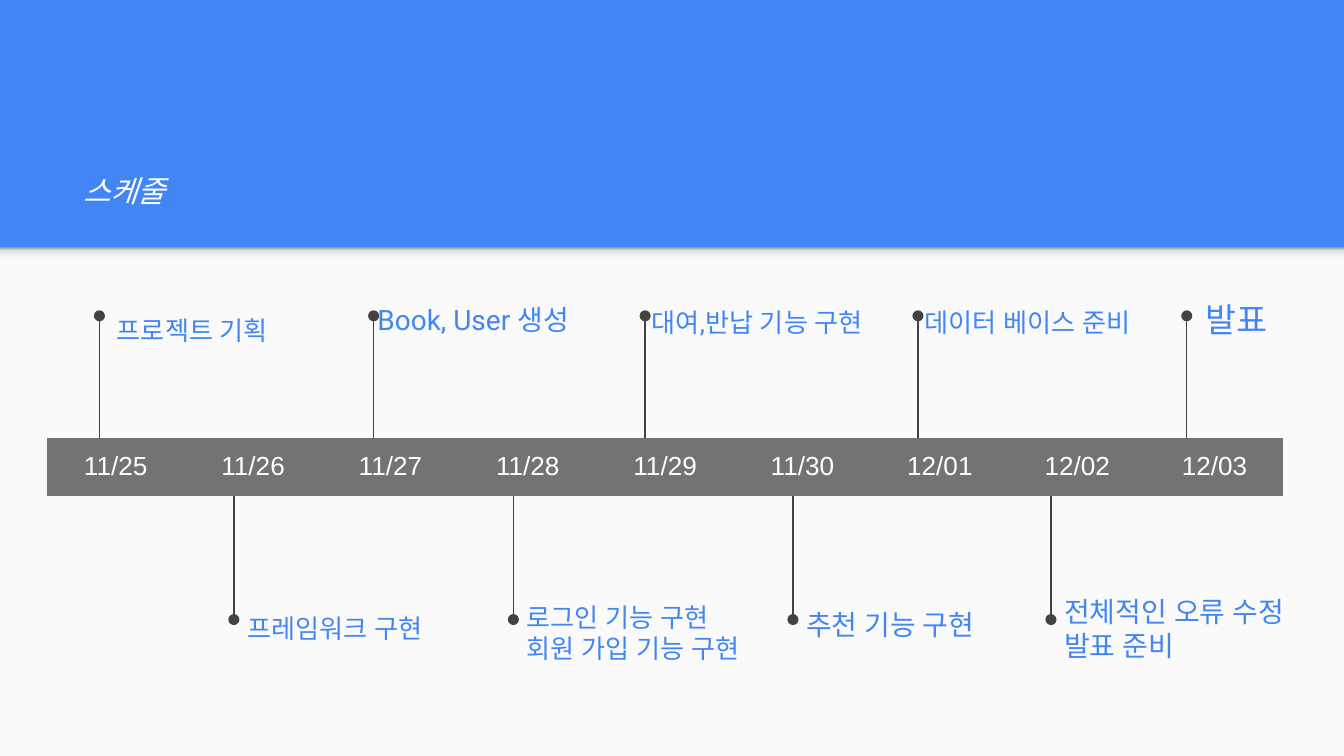
from dataclasses import dataclass

from lxml import etree
from pptx import Presentation
from pptx.dml.color import RGBColor
from pptx.enum.shapes import MSO_CONNECTOR, MSO_SHAPE
from pptx.enum.text import MSO_ANCHOR, PP_ALIGN
from pptx.oxml.ns import qn
from pptx.util import Inches, Pt

RECT = MSO_SHAPE.RECTANGLE
STRAIGHT = MSO_CONNECTOR.STRAIGHT
MIDDLE, BOTTOM = MSO_ANCHOR.MIDDLE, MSO_ANCHOR.BOTTOM
CENTER = PP_ALIGN.CENTER


@dataclass(frozen=True)
class Theme:
    blue: str = "4285F4"
    paper: str = "FAFAFA"
    white: str = "FFFFFF"
    bar: str = "737373"
    stem: str = "424242"
    shade: tuple = ((0, "F9F9F9"), (36, "F9F9F9"), (80, "DEDEDE"), (100, "999999"))
    font: str = "Roboto"
    date_font: str = "Arial"
    title_size: int = 16
    date_size: int = 14


THEME = Theme()
SLIDE_W = 10
SLIDE_H = SLIDE_W * 9 / 16
HEADER_H = 1.84
DATES = ["11/25", "11/26", "11/27", "11/28", "11/29", "11/30", "12/01", "12/02", "12/03"]
BAR_LEFT, BAR_TOP, BAR_W, BAR_H = 0.35, 3.26, 9.2, 0.42
LABEL_W, LABEL_H = 1.98, 0.43
UPPER_STEM = (BAR_TOP, 2.35)
LOWER_STEM = (3.69, 4.61)

# stem x, label left, label top, label width, type size, text
UPPER = [
    (0.74, 0.77, 2.24, LABEL_W, 14, "프로젝트 기획"),
    (2.78, 2.71, 2.16, LABEL_W, 15, "Book, User 생성"),
    (4.80, 4.75, 2.18, LABEL_W, 14, "대여,반납 기능 구현"),
    (6.83, 6.78, 2.18, LABEL_W, 14, "데이터 베이스 준비"),
    (8.83, 8.87, 2.16, 1.09, 18, "발표"),
]
LOWER = [
    (1.74, 1.74, 4.46, LABEL_W, 14, "프레임워크 구현"),
    (3.82, 3.82, 4.49, LABEL_W, 14, "로그인 기능 구현\n회원 가입 기능 구현"),
    (5.90, 5.90, 4.43, LABEL_W, 15, "추천 기능 구현"),
    (7.82, 7.82, 4.46, LABEL_W, 15, "전체적인 오류 수정\n발표 준비"),
]


def rgb(color):
    return RGBColor.from_string(color)


def set_insets(box):
    box.margin_left = box.margin_right = Inches(0.1)
    box.margin_top = box.margin_bottom = Inches(0.1)


def format_runs(tf, font, size, color, italic=False):
    for p in tf.paragraphs:
        for r in p.runs:
            r.font.name = font
            r.font.size = Pt(size)
            r.font.color.rgb = rgb(color)
            r.font.italic = italic
            etree.SubElement(r.font._element, qn("a:ea"), typeface=font)


def add_panel(s, top, height):
    sp = s.shapes.add_shape(RECT, 0, Inches(top), Inches(SLIDE_W), Inches(height))
    sp.shadow.inherit = False
    sp.line.fill.background()
    return sp


def fill_gradient(sp, stops):
    """Fill with any number of stops, running from bottom to top."""
    sp.fill.gradient()
    sp.fill.gradient_angle = 90
    stop_list = sp._element.spPr.find(".//" + qn("a:gsLst"))
    for old in list(stop_list):
        stop_list.remove(old)
    for percent, color in stops:
        stop = etree.SubElement(stop_list, qn("a:gs"), pos=str(percent * 1000))
        etree.SubElement(stop, qn("a:srgbClr"), val=color)


def add_text(s, left, top, width, height, text, size, color, anchor=MIDDLE, italic=False):
    box = s.shapes.add_textbox(Inches(left), Inches(top), Inches(width), Inches(height))
    tf = box.text_frame
    tf.word_wrap = True
    tf.vertical_anchor = anchor
    set_insets(tf)
    tf.text = text
    format_runs(tf, THEME.font, size, color, italic)
    return tf


def add_stem(s, x, start, end):
    """Draw a vertical line with a dot at its far end."""
    line = s.shapes.add_connector(STRAIGHT, Inches(x), Inches(start), Inches(x), Inches(end))
    line.line.color.rgb = rgb(THEME.stem)
    line.line.width = Pt(0.75)
    etree.SubElement(line.line._get_or_add_ln(), qn("a:tailEnd"), type="oval")
    etree.SubElement(line._element.spPr, qn("a:effectLst"))


def add_date_bar(s):
    frame = s.shapes.add_table(1, len(DATES), Inches(BAR_LEFT), Inches(BAR_TOP),
                               Inches(BAR_W), Inches(BAR_H))
    table = frame.table
    table.first_row = table.horz_banding = False
    # Plain "No Style, No Grid" table
    frame._element.find(".//" + qn("a:tableStyleId")).text = "{2D5ABB26-0587-4C30-8999-92F81FD0307C}"
    for cell, date in zip(table.rows[0].cells, DATES):
        set_insets(cell)
        cell.fill.solid()
        cell.fill.fore_color.rgb = rgb(THEME.bar)
        cell.text_frame.text = date
        cell.text_frame.paragraphs[0].alignment = CENTER
        format_runs(cell.text_frame, THEME.date_font, THEME.date_size, THEME.white)


def add_events(s, events, stem):
    for x, left, top, width, size, text in events:
        add_stem(s, x, *stem)
        add_text(s, left, top, width, LABEL_H, text, size, THEME.blue)


def main():
    prs = Presentation()
    prs.slide_width, prs.slide_height = Inches(SLIDE_W), Inches(SLIDE_H)
    s = prs.slides.add_slide(prs.slide_layouts[6])
    s.background.fill.solid()
    s.background.fill.fore_color.rgb = rgb(THEME.blue)

    body = add_panel(s, HEADER_H, SLIDE_H - HEADER_H)
    body.fill.solid()
    body.fill.fore_color.rgb = rgb(THEME.paper)
    fill_gradient(add_panel(s, HEADER_H, 0.12), THEME.shade)

    title = add_text(s, 0.52, 0.81, 8.99, 0.84, "스케줄", THEME.title_size, THEME.white,
                     BOTTOM, italic=True)
    title.paragraphs[0].space_after = Pt(4)
    add_date_bar(s)
    add_events(s, UPPER, UPPER_STEM)
    add_events(s, LOWER, LOWER_STEM)
    prs.save("out.pptx")


if __name__ == "__main__":
    main()
